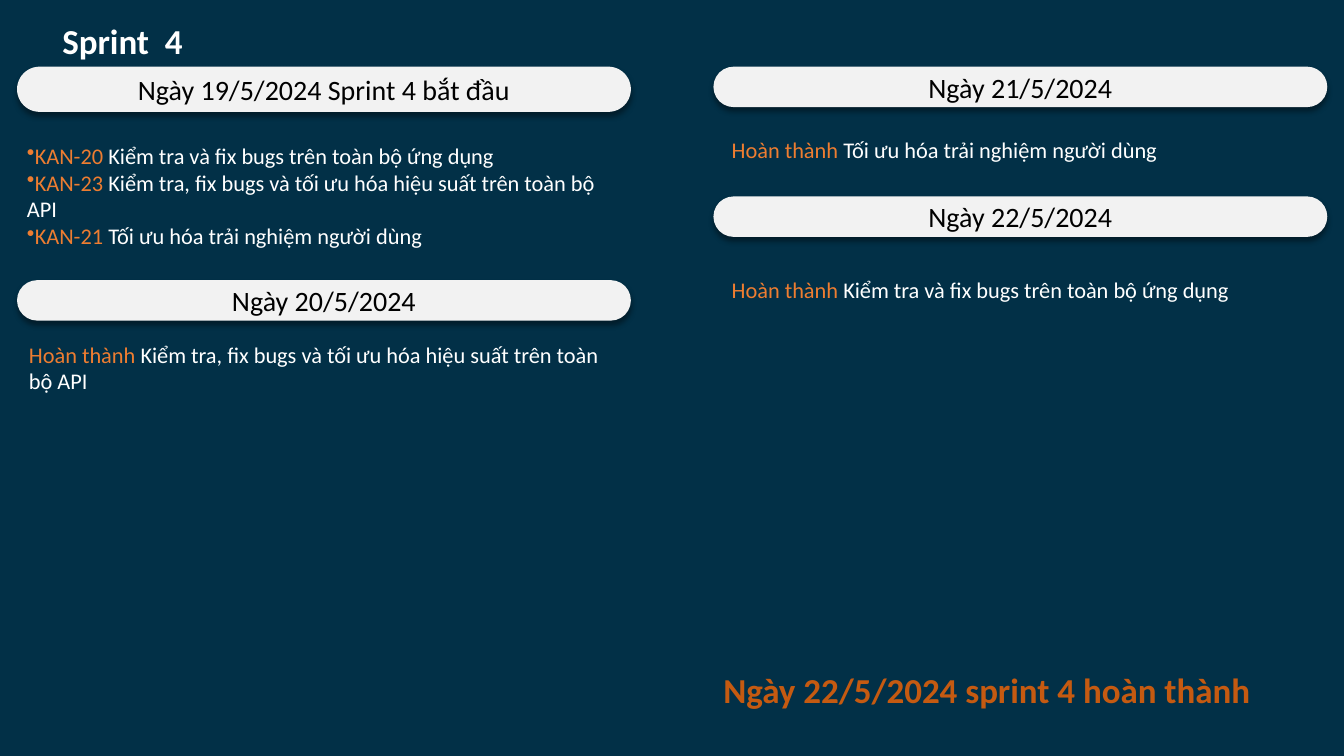
import pptx
import pptx.dml.color
import pptx.enum.shapes
import pptx.enum.text
import pptx.oxml
import pptx.oxml.ns
import pptx.util
from pptx.util import Cm

COLORS = {
    "background": "023047",
    "pill": "F2F2F2",
    "date": "000000",
    "text": "FFFFFF",
    "accent": "ED7D31",
    "closing": "C55A11",
}
FONT = "Calibri"
LEFT_COLUMN, RIGHT_COLUMN = 0.43, 17.98
PILL_WIDTH = 15.47

# Positions and sizes in centimetres: left, top, height, text
DATES = [
    (LEFT_COLUMN, 1.68, 1.14, "Ngày 19/5/2024 Sprint 4 bắt đầu"),
    (LEFT_COLUMN, 7.06, 1.02, "Ngày 20/5/2024"),
    (RIGHT_COLUMN, 1.68, 1.02, "Ngày 21/5/2024"),
    (RIGHT_COLUMN, 4.95, 1.02, "Ngày 22/5/2024"),
]

# left, top, width, height, text, color
HEADINGS = [
    (1.32, 0.36, 4.75, 1.32, "Sprint  4", "text"),
    (RIGHT_COLUMN, 16.71, PILL_WIDTH, 1.32, "Ngày 22/5/2024 sprint 4 hoàn thành", "closing"),
]

# left, top, width, height, bulleted, (highlight, description) lines
TASKS = [
    (LEFT_COLUMN, 3.45, 15.27, 3.0, True, [
        ("KAN-20", " Kiểm tra và fix bugs trên toàn bộ ứng dụng"),
        ("KAN-23", " Kiểm tra, fix bugs và tối ưu hóa hiệu suất trên toàn bộ API"),
        ("KAN-21", " Tối ưu hóa trải nghiệm người dùng"),
    ]),
    (0.48, 8.46, PILL_WIDTH, 1.63, False, [
        ("Hoàn thành", " Kiểm tra, fix bugs và tối ưu hóa hiệu suất trên toàn bộ API"),
    ]),
    (18.19, 3.3, 15.27, 0.94, False, [
        ("Hoàn thành", " Tối ưu hóa trải nghiệm người dùng"),
    ]),
    (18.19, 6.83, 15.27, 0.94, False, [
        ("Hoàn thành", " Kiểm tra và fix bugs trên toàn bộ ứng dụng"),
    ]),
]

SHADOW = (
    f'<a:outerShdw {pptx.oxml.ns.nsdecls("a")} blurRad="50800" dist="38100" '
    'dir="5400000" algn="t" rotWithShape="0">'
    '<a:srgbClr val="000000"><a:alpha val="40000"/></a:srgbClr></a:outerShdw>'
)
BULLET = f'<a:buChar {pptx.oxml.ns.nsdecls("a")} char="•"/>'


def rgb(name):
    return pptx.dml.color.RGBColor.from_string(COLORS[name])


def set_font(paragraph, size, color=None, bold=False):
    paragraph.font.name = FONT
    paragraph.font.size = pptx.util.Pt(size)
    paragraph.font.bold = bold
    if color:
        paragraph.font.color.rgb = rgb(color)


def add_date(slide, left, top, height, text):
    """Add a rounded date bar with a soft shadow below it."""
    shape = slide.shapes.add_shape(
        pptx.enum.shapes.MSO_SHAPE.ROUNDED_RECTANGLE,
        Cm(left), Cm(top), Cm(PILL_WIDTH), Cm(height))
    shape.adjustments[0] = 0.5
    shape.fill.solid()
    shape.fill.fore_color.rgb = rgb("pill")
    shape.line.fill.background()
    shape.shadow.inherit = False
    effects = shape.element.spPr.find(pptx.oxml.ns.qn("a:effectLst"))
    effects.append(pptx.oxml.parse_xml(SHADOW))
    shape.text_frame.vertical_anchor = pptx.enum.text.MSO_ANCHOR.MIDDLE
    paragraph = shape.text_frame.paragraphs[0]
    paragraph.text = text
    paragraph.alignment = pptx.enum.text.PP_ALIGN.CENTER
    set_font(paragraph, 20, "date")


def add_text_frame(slide, left, top, width, height):
    text_frame = slide.shapes.add_textbox(Cm(left), Cm(top), Cm(width), Cm(height)).text_frame
    text_frame.word_wrap = True
    return text_frame


def add_heading(slide, left, top, width, height, text, color):
    paragraph = add_text_frame(slide, left, top, width, height).paragraphs[0]
    paragraph.text = text
    set_font(paragraph, 25, color, bold=True)


def add_tasks(slide, left, top, width, height, bulleted, lines):
    text_frame = add_text_frame(slide, left, top, width, height)
    for index, line in enumerate(lines):
        paragraph = text_frame.add_paragraph() if index else text_frame.paragraphs[0]
        if bulleted:
            paragraph._p.get_or_add_pPr().append(pptx.oxml.parse_xml(BULLET))
        set_font(paragraph, 16)
        for text, color in zip(line, ("accent", "text")):
            run = paragraph.add_run()
            run.text = text
            run.font.color.rgb = rgb(color)


def main():
    presentation = pptx.Presentation()
    presentation.slide_width, presentation.slide_height = Cm(33.87), Cm(19.05)
    slide = presentation.slides.add_slide(presentation.slide_layouts[6])
    slide.background.fill.solid()
    slide.background.fill.fore_color.rgb = rgb("background")
    for date in DATES:
        add_date(slide, *date)
    for heading in HEADINGS:
        add_heading(slide, *heading)
    for tasks in TASKS:
        add_tasks(slide, *tasks)
    presentation.save("out.pptx")


if __name__ == "__main__":
    main()
